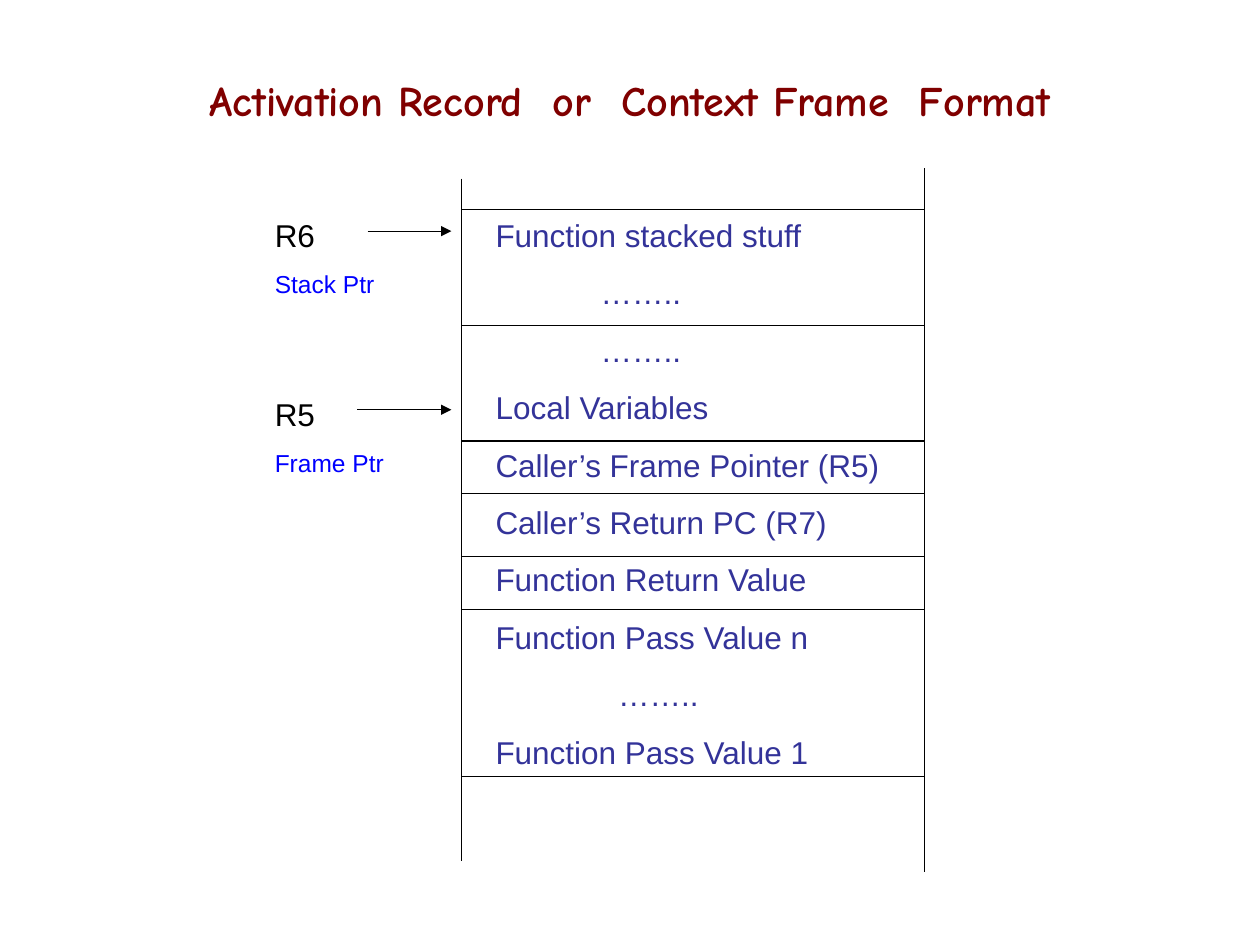
"""Build a slide showing the layout of an activation record on the stack."""
import pptx
import pptx.dml.color
import pptx.enum.shapes
import pptx.enum.text
import pptx.oxml.ns
import pptx.util
from lxml import etree
from pptx.util import Cm

RGBColor = pptx.dml.color.RGBColor
MAROON = RGBColor(0x80, 0x00, 0x00)
INDIGO = RGBColor(0x33, 0x33, 0x99)
BLUE = RGBColor(0x00, 0x00, 0xFF)
BLACK = RGBColor(0x00, 0x00, 0x00)

STACK_LEFT, STACK_RIGHT = 9.31, 18.63
DIVIDERS = (4.23, 6.56, 8.89, 9.95, 11.22, 12.28, 15.66)
STACK_ENTRIES = (
    ("Function stacked stuff", 0),
    ("……..", 2.12),
    ("……..", 2.12),
    ("Local Variables", 0),
    ("Caller’s Frame Pointer (R5)", 0),
    ("Caller’s Return PC (R7)", 0),
    ("Function Return Value", 0),
    ("Function Pass Value n", 0),
    ("……..", 2.47),
    ("Function Pass Value 1", 0),
)
POINTERS = (
    ("R6", "Stack Ptr", 4.23, 2.54, 7.41, 4.66),
    ("R5", "Frame Ptr", 7.83, 2.96, 7.2, 8.26),
)
ARROW_END = 9.1


class SlideBuilder:
    """Hold the style and the current slide, and add elements to it."""

    title_font = "Comic Neue"
    body_font = "Arial"
    line_width = 0.75

    def __init__(self, slide):
        self.slide = slide

    def add_run(self, paragraph, text, size, color, name, bold=False):
        run = paragraph.add_run()
        run.text = text
        run.font.size = pptx.util.Pt(size)
        run.font.name = name
        run.font.bold = bold
        run.font.color.rgb = color

    def set_title(self, text, left, top, width, height):
        title = self.slide.shapes.title
        title.left, title.top = Cm(left), Cm(top)
        title.width, title.height = Cm(width), Cm(height)
        frame = title.text_frame
        frame.auto_size = pptx.enum.text.MSO_AUTO_SIZE.NONE
        frame.vertical_anchor = pptx.enum.text.MSO_ANCHOR.MIDDLE
        paragraph = frame.paragraphs[0]
        paragraph.alignment = pptx.enum.text.PP_ALIGN.CENTER
        self.add_run(paragraph, text, 24, MAROON, self.title_font, bold=True)

    def add_text(self, lines, left, top, width, height):
        """Add a text box; each line is (text, size, color, space before, indent)."""
        box = self.slide.shapes.add_textbox(Cm(left), Cm(top), Cm(width), Cm(height))
        frame = box.text_frame
        frame.word_wrap = True
        for index, (text, size, color, space, indent) in enumerate(lines):
            paragraph = frame.add_paragraph() if index else frame.paragraphs[0]
            if index:
                paragraph.space_before = pptx.util.Pt(space)
            if indent:
                paragraph._p.get_or_add_pPr().set("marL", str(Cm(indent)))
            self.add_run(paragraph, text, size, color, self.body_font)

    def add_line(self, start_x, start_y, end_x, end_y, arrow=False):
        connector = self.slide.shapes.add_connector(
            pptx.enum.shapes.MSO_CONNECTOR.STRAIGHT,
            Cm(start_x), Cm(start_y), Cm(end_x), Cm(end_y))
        connector.line.color.rgb = BLACK
        connector.line.width = pptx.util.Pt(self.line_width)
        if arrow:
            line = connector.line._get_or_add_ln()
            etree.SubElement(line, pptx.oxml.ns.qn("a:tailEnd"), type="triangle")
        etree.SubElement(connector._element.spPr, pptx.oxml.ns.qn("a:effectLst"))


def main():
    presentation = pptx.Presentation()
    presentation.slide_width, presentation.slide_height = Cm(25.4), Cm(19.05)
    slide = presentation.slides.add_slide(presentation.slide_layouts[5])
    builder = SlideBuilder(slide)

    builder.set_title("Activation Record  or  Context Frame  Format",
                      1.27, 1.27, 22.86, 1.48)
    builder.add_text([(text, 18, INDIGO, 11.2, indent) for text, indent in STACK_ENTRIES],
                     9.74, 4.23, 9.53, 11.46)

    builder.add_line(STACK_LEFT, 3.6, STACK_LEFT, 17.36)
    builder.add_line(STACK_RIGHT, 3.39, STACK_RIGHT, 17.57)
    for height in DIVIDERS:
        builder.add_line(STACK_LEFT, height, STACK_RIGHT, height)

    for register, role, top, width, arrow_start, arrow_height in POINTERS:
        builder.add_line(arrow_start, arrow_height, ARROW_END, arrow_height, arrow=True)
        builder.add_text([(register, 18, BLACK, 0, 0), (role, 14, BLUE, 8.8, 0)],
                         5.29, top, width, 1.93)

    presentation.save("out.pptx")


if __name__ == "__main__":
    main()
